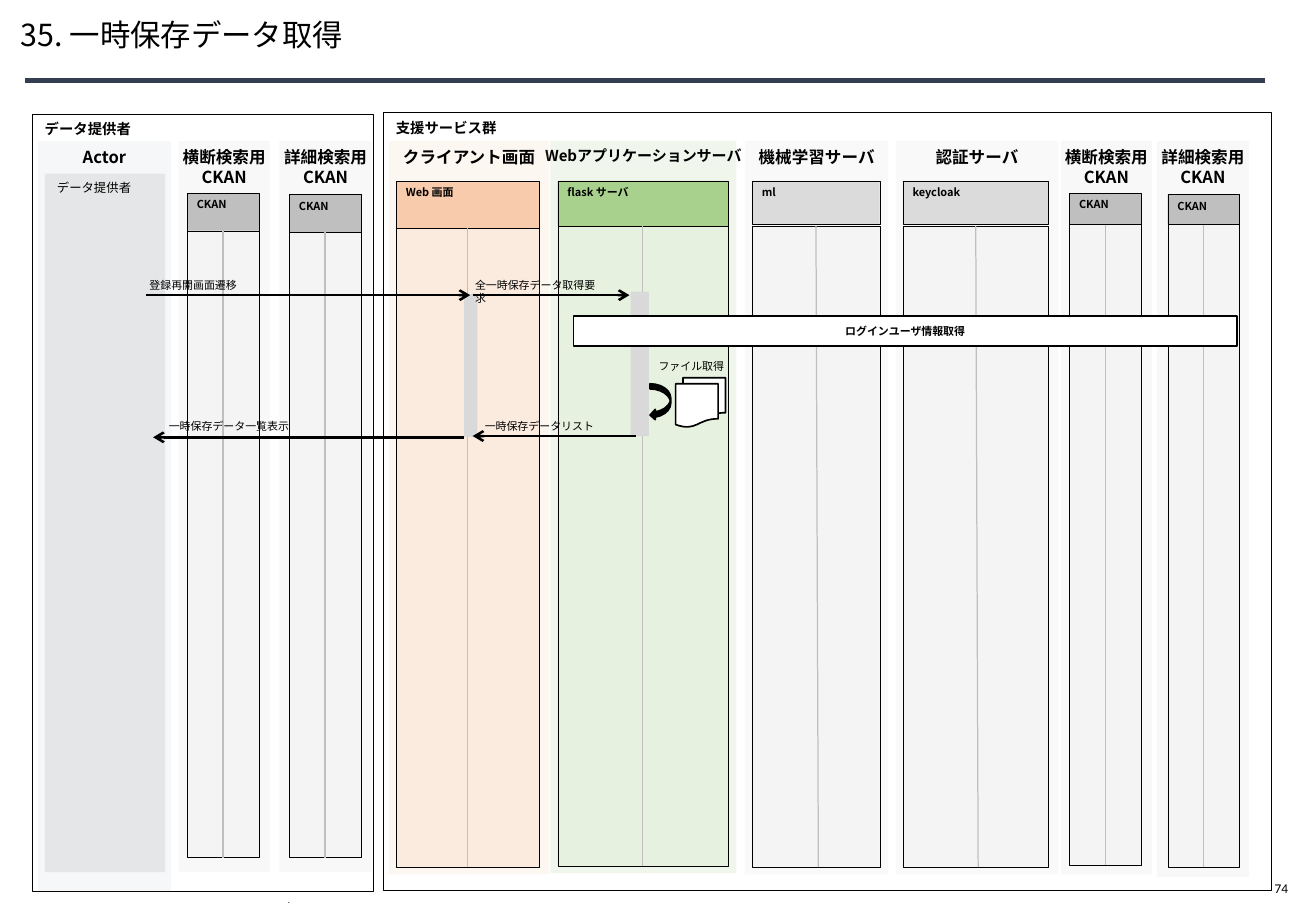
import dataclasses

import lxml.etree
import pptx
import pptx.dml.color
import pptx.enum.shapes
import pptx.enum.text
import pptx.util
from pptx.oxml.ns import qn
from pptx.util import Inches

SHAPE = pptx.enum.shapes.MSO_SHAPE
ALIGN = pptx.enum.text.PP_ALIGN
ANCHOR = pptx.enum.text.MSO_ANCHOR


@dataclasses.dataclass(frozen=True)
class Theme:
    font: str = "Noto Sans CJK JP"
    number_font: str = "Calibri"
    black: str = "000000"
    white: str = "FFFFFF"
    navy: str = "333F50"
    blue: str = "ADB9CA"
    silver: str = "BFBFBF"
    server: str = "C9C9C9"
    server_head: str = "DBDBDB"
    bar: str = "D9D9D9"
    body: str = "F2F2F2"
    orange: str = "F4B183"
    orange_head: str = "F8CBAD"
    orange_body: str = "FBE5D6"
    green: str = "70AD47"
    green_head: str = "A9D18E"
    green_body: str = "E2F0D9"
    title_size: float = 18
    lane_size: float = 9.8
    wide_lane_size: float = 8.9
    frame_size: float = 8.5
    number_size: float = 7.9
    actor_size: float = 7.3
    label_size: float = 6.5
    mark_size: float = 4.6


THEME = Theme()
NORMAL_INSETS = (0.1, 0.05, 0.1, 0.05)
SMALL_INSETS = (0.08, 0.04, 0.08, 0.04)


@dataclasses.dataclass(frozen=True)
class Lane:
    title: str
    panel: tuple  # left, width, bottom
    name: str
    column: tuple  # left, width
    head: tuple  # top, height
    body: tuple  # top, bottom
    tint: str = THEME.silver
    head_colour: str = THEME.silver
    body_colour: str = THEME.body
    title_size: float = THEME.lane_size
    lean: float = 0


CROSS, DETAIL = "横断検索用\nCKAN", "詳細検索用\nCKAN"
SERVER = dict(tint=THEME.server, head_colour=THEME.server_head, lean=0.02)
PROVIDER_LANES = [
    Lane(DETAIL, (2.3, 0.76, 7.18), "CKAN", (2.38, 0.59), (1.6, 0.31), (1.74, 7.06)),
    Lane(CROSS, (1.47, 0.75, 7.18), "CKAN", (1.54, 0.59), (1.59, 0.31), (1.74, 7.06)),
]
SERVICE_LANES = [
    Lane("Webアプリケーションサーバ", (4.53, 1.53, 7.19), "flask サーバ", (4.59, 1.4),
         (1.49, 0.37), (1.86, 7.13), THEME.green, THEME.green_head, THEME.green_body,
         THEME.wide_lane_size),
    Lane(CROSS, (8.73, 0.75, 7.2), "CKAN", (8.8, 0.59), (1.59, 0.26), (1.85, 7.12)),
    Lane("クライアント画面", (3.2, 1.32, 7.2), "Web 画面", (3.26, 1.18),
         (1.49, 0.39), (1.88, 7.14), THEME.orange, THEME.orange_head, THEME.orange_body),
    Lane(DETAIL, (9.52, 0.76, 7.22), "CKAN", (9.61, 0.59), (1.6, 0.25), (1.85, 7.14)),
    Lane("機械学習サーバ", (6.13, 1.18, 7.2), "ml", (6.19, 1.05),
         (1.49, 0.36), (1.86, 7.14), **SERVER),
    Lane("認証サーバ", (7.37, 1.34, 7.2), "keycloak", (7.43, 1.2),
         (1.49, 0.36), (1.86, 7.14), **SERVER),
]

# Message arrows: start, end; labels: text, left, top, width, alignment
MESSAGES = [
    ((1.2, 2.43), (3.87, 2.43)),
    ((3.89, 2.43), (5.18, 2.43)),
    ((5.23, 3.59), (3.89, 3.59)),
    ((3.82, 3.6), (1.26, 3.6)),
]
LABELS = [
    ("登録再開画面遷移", 1.15, 2.25, 1.01, ALIGN.LEFT),
    ("全一時保存データ取得要求", 3.83, 2.25, 1.23, ALIGN.LEFT),
    ("一時保存データリスト", 3.91, 3.41, 1.1, ALIGN.LEFT),
    ("一時保存データ一覧表示", 1.31, 3.41, 1.36, ALIGN.LEFT),
    ("ファイル取得", 5.29, 2.92, 0.8, ALIGN.CENTER),
]


def rgb(colour):
    return pptx.dml.color.RGBColor.from_string(colour)


def write_text(box, text, size=THEME.label_size, bold=False, align=ALIGN.LEFT,
               anchor=ANCHOR.TOP, insets=SMALL_INSETS, wrap=True, spacing=None,
               font=THEME.font):
    frame = box.text_frame
    frame.word_wrap = wrap
    frame.vertical_anchor = anchor
    (frame.margin_left, frame.margin_top,
     frame.margin_right, frame.margin_bottom) = map(Inches, insets)
    for index, line in enumerate(text.split("\n")):
        para = frame.add_paragraph() if index else frame.paragraphs[0]
        para.alignment = align
        if spacing:
            para.line_spacing = spacing
        span = para.add_run()
        span.text = line
        span.font.size = pptx.util.Pt(size)
        span.font.bold = bold
        span.font.color.rgb = rgb(THEME.black)
        span.font.name = font
        # East Asian typeface
        lxml.etree.SubElement(span.font._element, qn("a:ea"), typeface=font)


def add_text(page, text, left, top, width, height, **text_format):
    box = page.shapes.add_textbox(*map(Inches, (left, top, width, height)))
    write_text(box, text, **text_format)


def add_box(page, left, top, width, height, fill, opacity=100, line=None, kind=SHAPE.RECTANGLE):
    box = page.shapes.add_shape(kind, *map(Inches, (left, top, width, height)))
    box.shadow.inherit = False
    box.fill.solid()
    box.fill.fore_color.rgb = rgb(fill)
    if opacity < 100:
        colour = next(box.element.spPr.iter(qn("a:srgbClr")))
        lxml.etree.SubElement(colour, qn("a:alpha"), val=str(opacity * 1000))
    if line:
        box.line.color.rgb = rgb(THEME.black)
        box.line.width = pptx.util.Pt(line)
    else:
        box.line.fill.background()
    return box


def add_line(page, start, end, colour, width, arrow=False):
    line = page.shapes.add_connector(
        pptx.enum.shapes.MSO_CONNECTOR.STRAIGHT, *map(Inches, (*start, *end)))
    line.line.color.rgb = rgb(colour)
    line.line.width = pptx.util.Pt(width)
    if arrow:
        lxml.etree.SubElement(line.line._get_or_add_ln(), qn("a:tailEnd"), type="arrow")
    lxml.etree.SubElement(line._element.spPr, qn("a:effectLst"))


def add_frame(page, text, left, top, width, height):
    frame = add_box(page, left, top, width, height, THEME.white, 30, 0.5)
    write_text(frame, text, THEME.frame_size, True, insets=NORMAL_INSETS, wrap=False)


def add_panel(page, title, left, width, bottom, tint, size=THEME.lane_size):
    panel = add_box(page, left, 1.16, width, bottom - 1.16, tint, 10)
    write_text(panel, title, size, True, ALIGN.CENTER, insets=NORMAL_INSETS, wrap=False)


def add_lane(page, lane):
    add_panel(page, lane.title, *lane.panel, lane.tint, lane.title_size)
    left, width = lane.column
    top, bottom = lane.body
    add_box(page, left, top, width, bottom - top, lane.body_colour, 65, 0.25)
    head = add_box(page, left, lane.head[0], width, lane.head[1], lane.head_colour, line=0.25)
    write_text(head, lane.name, bold=True)
    middle = left + width / 2
    add_line(page, (middle, top), (middle + lane.lean, bottom), THEME.silver, 0.75)


def main():
    deck = pptx.Presentation()
    deck.slide_width, deck.slide_height = Inches(10.83), Inches(7.5)
    page = deck.slides.add_slide(deck.slide_layouts[6])

    # Title, rule and footer
    add_text(page, "35. 一時保存データ取得", 0.17, 0.15, 9.55, 0.31, size=THEME.title_size,
             anchor=ANCHOR.MIDDLE, insets=(0, 0.05, 0.1, 0.05), spacing=0.9)
    add_line(page, (0.21, 0.66), (10.41, 0.66), THEME.navy, 3)
    add_text(page, "74", 10.39, 7.2, 0.39, 0.23, size=THEME.number_size,
             insets=NORMAL_INSETS, wrap=False, font=THEME.number_font)
    add_text(page, ".", 2.27, 7.38, 6.3, 0.12, size=THEME.mark_size, anchor=ANCHOR.BOTTOM,
             insets=NORMAL_INSETS, spacing=pptx.util.Pt(1.3))

    # Data provider side
    add_frame(page, "データ提供者", 0.27, 0.94, 2.8, 6.4)
    add_panel(page, "Actor", 0.31, 1.1, 7.34, THEME.blue)
    actor = add_box(page, 0.37, 1.43, 0.99, 5.75, THEME.silver, 30)
    write_text(actor, "データ提供者", THEME.actor_size, insets=NORMAL_INSETS, wrap=False)
    for lane in PROVIDER_LANES:
        add_lane(page, lane)

    # Support service side
    add_frame(page, "支援サービス群", 3.16, 0.93, 7.3, 6.4)
    for lane in SERVICE_LANES:
        add_lane(page, lane)

    # Activation bars and messages
    add_box(page, 5.19, 2.4, 0.15, 1.19, THEME.bar)
    add_box(page, 3.82, 2.42, 0.11, 1.18, THEME.bar)
    for start, end in MESSAGES:
        add_line(page, start, end, THEME.black, 1.5, arrow=True)
    for text, left, top, width, align in LABELS:
        add_text(page, text, left, top, width, 0.19, align=align)

    # File access and login step
    add_box(page, 5.35, 3.16, 0.17, 0.3, THEME.black, line=1, kind=SHAPE.CURVED_LEFT_ARROW)
    for left, top in ((5.62, 3.11), (5.56, 3.16)):
        add_box(page, left, top, 0.35, 0.36, THEME.white, line=1, kind=SHAPE.FLOWCHART_DOCUMENT)
    login = add_box(page, 4.72, 2.6, 5.46, 0.25, THEME.white, line=1)
    write_text(login, "ログインユーザ情報取得", bold=True, align=ALIGN.CENTER, anchor=ANCHOR.MIDDLE)

    deck.save("out.pptx")


if __name__ == "__main__":
    main()
